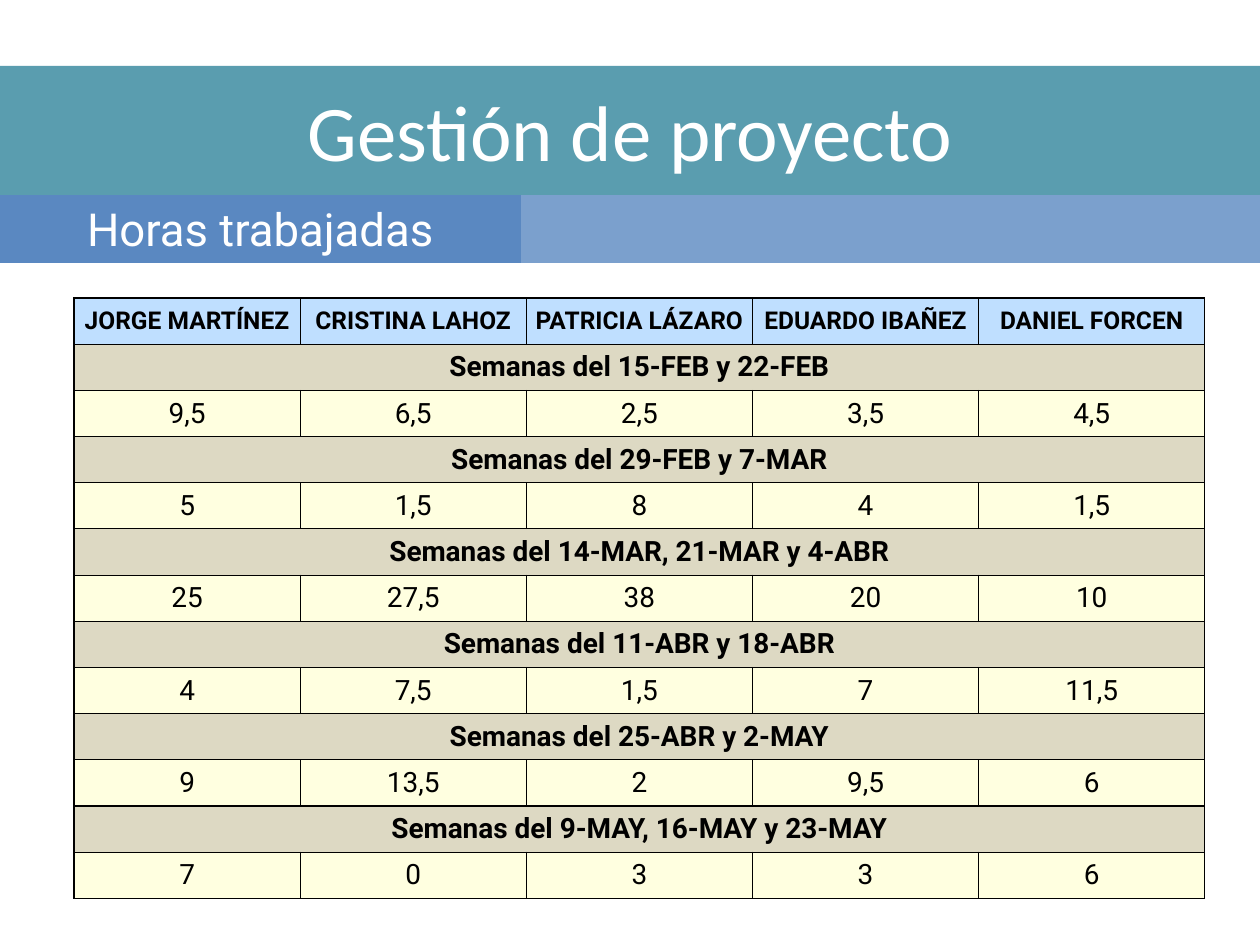
from dataclasses import dataclass

import lxml.etree
import pptx
import pptx.dml.color
import pptx.enum.shapes
import pptx.enum.text
import pptx.oxml.ns
import pptx.util

EMU_PER_PX = 914400 / 126
ALIGN = pptx.enum.text.PP_ALIGN
ANCHOR = pptx.enum.text.MSO_ANCHOR


@dataclass(frozen=True)
class Theme:
    white: str = "FFFFFF"
    black: str = "000000"
    teal: str = "31859C"
    blue: str = "4F81BD"
    header_fill: str = "BFDFFF"
    period_fill: str = "DDD9C3"
    hours_fill: str = "FFFFE0"
    title_font: str = "Calibri"
    body_font: str = "Roboto"
    title_size: int = 45
    subtitle_size: int = 26
    header_size: int = 14
    table_size: int = 16
    border_width: float = 0.75


@dataclass(frozen=True)
class Area:
    left: int
    top: int
    width: int
    height: int


@dataclass(frozen=True)
class Period:
    label: str
    hours: tuple[str, ...]


THEME = Theme()
PANEL = Area(0, 195, 1260, 750)
TITLE = Area(0, 66, 1260, 129)
BAND = Area(0, 195, 1260, 68)
SUBTITLE = Area(0, 195, 521, 68)
TABLE = Area(74, 298, 1131, 601)

PEOPLE = ("JORGE MARTÍNEZ", "CRISTINA LAHOZ", "PATRICIA LÁZARO", "EDUARDO IBAÑEZ", "DANIEL FORCEN")
PERIODS = (
    Period("Semanas del 15-FEB y 22-FEB", ("9,5", "6,5", "2,5", "3,5", "4,5")),
    Period("Semanas del 29-FEB y 7-MAR", ("5", "1,5", "8", "4", "1,5")),
    Period("Semanas del 14-MAR, 21-MAR y 4-ABR", ("25", "27,5", "38", "20", "10")),
    Period("Semanas del 11-ABR y 18-ABR", ("4", "7,5", "1,5", "7", "11,5")),
    Period("Semanas del 25-ABR y 2-MAY", ("9", "13,5", "2", "9,5", "6")),
    Period("Semanas del 9-MAY, 16-MAY y 23-MAY", ("7", "0", "3", "3", "6")),
)


def px(length: int) -> int:
    return round(length * EMU_PER_PX)


def bounds(area: Area) -> tuple[int, ...]:
    return px(area.left), px(area.top), px(area.width), px(area.height)


def write(frame, text: str, *, size: int, font: str = THEME.body_font,
          color: str = THEME.black, bold: bool = False) -> None:
    para = frame.paragraphs[0]
    para.alignment = ALIGN.CENTER
    span = para.add_run()
    span.text = text
    span.font.size = pptx.util.Pt(size)
    span.font.name = font
    span.font.bold = bold
    span.font.color.rgb = pptx.dml.color.RGBColor.from_string(color)


def paint(shape, color: str, opacity: int) -> None:
    shape.fill.solid()
    shape.fill.fore_color.rgb = pptx.dml.color.RGBColor.from_string(color)
    tint = shape.element.spPr.find(".//" + pptx.oxml.ns.qn("a:srgbClr"))
    lxml.etree.SubElement(tint, pptx.oxml.ns.qn("a:alpha"), val=str(opacity * 1000))
    shape.line.fill.background()


def add_bar(page, area: Area, color: str, opacity: int,
            kind=pptx.enum.shapes.MSO_SHAPE.RECTANGLE):
    bar = page.shapes.add_shape(kind, *bounds(area))
    bar.shadow.inherit = False
    paint(bar, color, opacity)
    return bar


def add_title(page, text: str) -> None:
    title = page.shapes.title
    title.left, title.top, title.width, title.height = bounds(TITLE)
    title.element.getparent().append(title.element)
    paint(title, THEME.teal, 80)
    title.text_frame.auto_size = pptx.enum.text.MSO_AUTO_SIZE.NONE
    title.text_frame.vertical_anchor = ANCHOR.MIDDLE
    write(title.text_frame, text, size=THEME.title_size, font=THEME.title_font, color=THEME.white)


def add_borders(cell) -> None:
    properties = cell._tc.get_or_add_tcPr()
    for side in ("a:lnL", "a:lnR", "a:lnT", "a:lnB"):
        line = lxml.etree.SubElement(properties, pptx.oxml.ns.qn(side),
                                     w=str(pptx.util.Pt(THEME.border_width)))
        fill = lxml.etree.SubElement(line, pptx.oxml.ns.qn("a:solidFill"))
        lxml.etree.SubElement(fill, pptx.oxml.ns.qn("a:srgbClr"), val=THEME.black)


def fill_row(table, row: int, texts: tuple[str, ...], fill: str, *,
             size: int = THEME.table_size, bold: bool = False) -> None:
    for column in range(len(PEOPLE)):
        cell = table.cell(row, column)
        add_borders(cell)
        cell.fill.solid()
        cell.fill.fore_color.rgb = pptx.dml.color.RGBColor.from_string(fill)
        cell.vertical_anchor = ANCHOR.MIDDLE
        cell.margin_left = cell.margin_right = px(1)
        cell.margin_top = cell.margin_bottom = 0
        if column < len(texts):
            write(cell.text_frame, texts[column], size=size, bold=bold)
    if len(texts) == 1:
        table.cell(row, 0).merge(table.cell(row, len(PEOPLE) - 1))


def add_hours_table(page) -> None:
    row_count = 1 + 2 * len(PERIODS)
    table = page.shapes.add_table(row_count, len(PEOPLE), *bounds(TABLE)).table
    table.first_row = False
    table.horz_banding = False
    for column in table.columns:
        column.width = px(TABLE.width) // len(PEOPLE)
    for row in table.rows:
        row.height = px(TABLE.height) // row_count
    fill_row(table, 0, PEOPLE, THEME.header_fill, size=THEME.header_size, bold=True)
    for index, period in enumerate(PERIODS):
        fill_row(table, 2 * index + 1, (period.label,), THEME.period_fill, bold=True)
        fill_row(table, 2 * index + 2, period.hours, THEME.hours_fill)


def main() -> None:
    deck = pptx.Presentation()
    deck.slide_width, deck.slide_height = px(1260), px(945)
    page = deck.slides.add_slide(deck.slide_layouts[5])
    add_bar(page, PANEL, THEME.white, 85, pptx.enum.shapes.MSO_SHAPE.FLOWCHART_PROCESS)
    add_hours_table(page)
    add_title(page, "Gestión de proyecto")
    add_bar(page, BAND, THEME.blue, 75)
    subtitle = add_bar(page, SUBTITLE, THEME.blue, 75)
    subtitle.text_frame.vertical_anchor = ANCHOR.TOP
    write(subtitle.text_frame, "Horas trabajadas", size=THEME.subtitle_size, color=THEME.white)
    deck.save("out.pptx")


if __name__ == "__main__":
    main()
